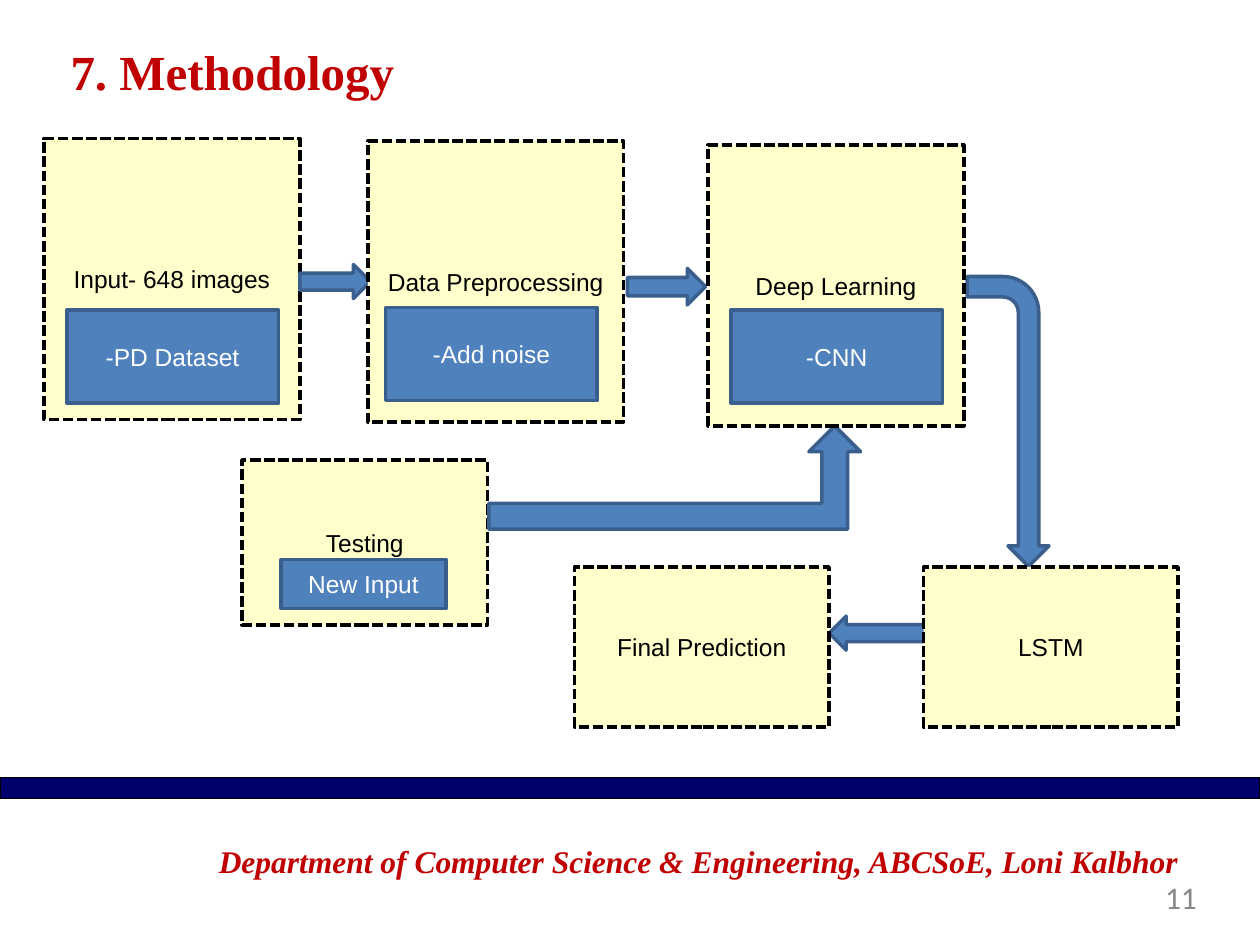
import pptx
import pptx.util
import pptx.dml.color
import pptx.enum.dml
import pptx.enum.shapes
import pptx.enum.text

Inches = pptx.util.Inches
Pt = pptx.util.Pt
KIND = pptx.enum.shapes.MSO_SHAPE
ALIGN = pptx.enum.text.PP_ALIGN
MIDDLE = pptx.enum.text.MSO_ANCHOR.MIDDLE
DASH = pptx.enum.dml.MSO_LINE.SQUARE_DOT

COLORS = {
    "cream": "FFFFCC", "blue": "4F81BD", "edge": "3A5F8C", "navy": "00006C",
    "red": "C00000", "gray": "888888", "black": "000000", "white": "FFFFFF",
}


class Deck:
    """Holds the style and the current slide."""

    def __init__(self):
        self.prs = pptx.Presentation()
        self.prs.slide_width, self.prs.slide_height = Inches(10), Inches(7.5)
        self.slide = self.prs.slides.add_slide(self.prs.slide_layouts[5])

    def color(self, name):
        return pptx.dml.color.RGBColor.from_string(COLORS[name])

    def set_text(self, frame, text, size, font, color, align, bold=False, italic=False):
        frame.text = text
        frame.word_wrap = True
        para = frame.paragraphs[0]
        para.alignment = align
        style = para.runs[0].font
        style.size, style.name = Pt(size), font
        style.bold, style.italic = bold, italic
        style.color.rgb = self.color(color)

    def title(self, text, box):
        shape = self.slide.shapes.title
        shape.left, shape.top, shape.width, shape.height = map(Inches, box)
        shape.text_frame.vertical_anchor = MIDDLE
        self.set_text(shape.text_frame, text, 28, "Times New Roman", "red",
                      ALIGN.LEFT, bold=True)

    def label(self, text, box, *style, **marks):
        frame = self.slide.shapes.add_textbox(*map(Inches, box)).text_frame
        frame.margin_left = frame.margin_right = 0
        frame.margin_top = frame.margin_bottom = 0
        self.set_text(frame, text, *style, **marks)

    def shape(self, kind, box, fill="blue", line="edge", width=2, turn=0):
        shape = self.slide.shapes.add_shape(kind, *map(Inches, box))
        shape.shadow.inherit = False
        shape.fill.solid()
        shape.fill.fore_color.rgb = self.color(fill)
        shape.line.color.rgb = self.color(line)
        shape.line.width = Pt(width)
        shape.rotation = turn
        return shape

    def stage(self, text, box):
        """Add a dashed box for one step of the method."""
        shape = self.shape(KIND.RECTANGLE, box, "cream", "black")
        shape.line.dash_style = DASH
        self.fill_in(shape, text, "black")

    def detail(self, text, box):
        """Add a blue box that sits inside a stage."""
        self.fill_in(self.shape(KIND.RECTANGLE, box), text, "white")

    def fill_in(self, shape, text, color):
        shape.text_frame.vertical_anchor = MIDDLE
        self.set_text(shape.text_frame, text, 14, "Arial", color, ALIGN.CENTER)


def main():
    deck = Deck()
    deck.title("7. Methodology", (0.46, 0.25, 8.76, 0.63))
    deck.shape(KIND.RECTANGLE, (0, 6.17, 10, 0.17), "navy", "black", 0.75)
    deck.label("11", (7.2, 6.97, 2.3, 0.38), 18, "Calibri", "gray", ALIGN.RIGHT)
    deck.label("Department of Computer Science & Engineering, ABCSoE, Loni Kalbhor",
               (1.51, 6.68, 8.07, 0.74), 18, "Times New Roman", "red",
               ALIGN.CENTER, bold=True, italic=True)

    deck.stage("Testing", (1.92, 3.65, 1.95, 1.31))
    deck.stage("Input- 648 images", (0.35, 1.1, 2.03, 2.23))

    for kind, box, turn in (
        (KIND.RIGHT_ARROW, (2.38, 2.1, 0.56, 0.27), 0),
        (KIND.RIGHT_ARROW, (4.98, 2.13, 0.62, 0.29), 0),
        (KIND.BENT_ARROW, (6.85, 3.02, 2.3, 0.65), 90),
        (KIND.RIGHT_ARROW, (6.58, 4.89, 0.81, 0.27), 180),
        (KIND.BENT_UP_ARROW, (3.88, 3.38, 2.95, 0.82), 0),
    ):
        deck.shape(kind, box, turn=turn)

    for text, left, top in (("Data Preprocessing", 2.92, 1.12),
                            ("Deep Learning", 5.62, 1.15)):
        deck.stage(text, (left, top, 2.03, 2.23))
    for text, left in (("LSTM", 7.33), ("Final Prediction", 4.56)):
        deck.stage(text, (left, 4.5, 2.02, 1.27))

    for text, left, top in (("-PD Dataset", 0.53, 2.46),
                            ("-Add noise", 3.06, 2.44),
                            ("-CNN", 5.8, 2.46)):
        deck.detail(text, (left, top, 1.68, 0.74))
    deck.detail("New Input", (2.23, 4.44, 1.31, 0.39))

    deck.prs.save("out.pptx")


if __name__ == "__main__":
    main()
